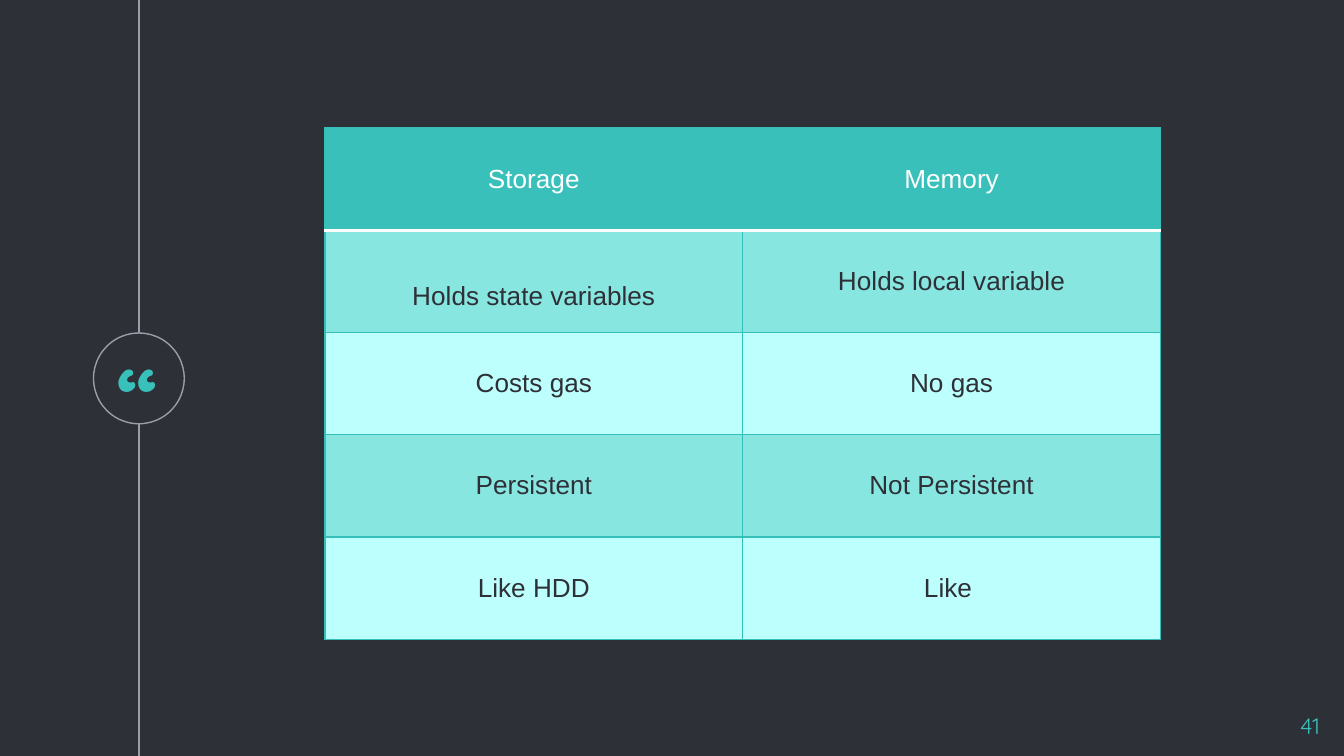
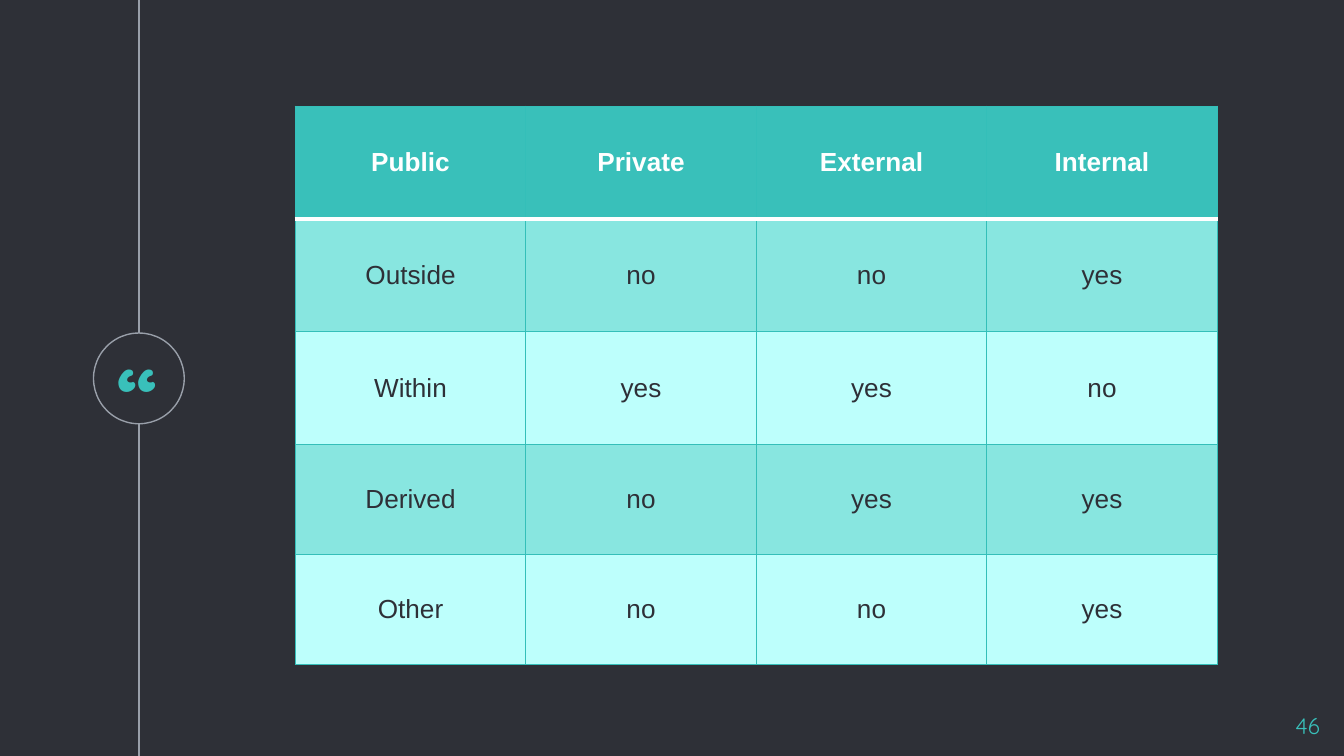
"""Builds two dark slides, each with a quote marker and a comparison table."""
import dataclasses

import lxml.etree
import pptx
import pptx.dml.color
import pptx.enum.shapes
import pptx.enum.text
import pptx.oxml.ns
import pptx.util

Pt = pptx.util.Pt
Align = pptx.enum.text.PP_ALIGN
qn = pptx.oxml.ns.qn


@dataclasses.dataclass(frozen=True)
class Theme:
    background: str = "2E3037"
    accent: str = "39C0BA"
    border: str = "34BFB9"
    rule: str = "999FA9"
    white: str = "FFFFFF"
    band: str = "88E6E0"
    light: str = "BDFFFC"
    display_font: str = "Quicksand"
    table_font: str = "Arial"
    quote_size: float = 48
    number_size: float = 12
    table_size: float = 14
    hairline: float = 0.75
    header_line: float = 2
    inset: float = 7.2


def rgb(code):
    return pptx.dml.color.RGBColor.from_string(code)


class SlideWriter:
    def __init__(self, deck, theme):
        self.deck = deck
        self.theme = theme
        self.page = None

    def new_page(self, number):
        theme = self.theme
        self.page = self.deck.slides.add_slide(self.deck.slide_layouts[6])
        self.page.background.fill.solid()
        self.page.background.fill.fore_color.rgb = rgb(theme.background)
        self.rule(74.4, 0, 74.4, 405)
        self.circle(50.1, 178.4, 48.6)
        self.text("“", (22.6, 176.4, 103, 51), theme.quote_size, Align.CENTER, bold=True)
        self.text(str(number), (671, 374.4, 43.2, 24.5), theme.number_size, Align.RIGHT)

    def rule(self, x1, y1, x2, y2):
        line = self.page.shapes.add_connector(
            pptx.enum.shapes.MSO_CONNECTOR.STRAIGHT, Pt(x1), Pt(y1), Pt(x2), Pt(y2))
        self.outline(line)
        lxml.etree.SubElement(line._element.spPr, qn("a:effectLst"))

    def circle(self, left, top, size):
        shape = self.page.shapes.add_shape(
            pptx.enum.shapes.MSO_SHAPE.OVAL, Pt(left), Pt(top), Pt(size), Pt(size))
        shape.shadow.inherit = False
        shape.fill.solid()
        shape.fill.fore_color.rgb = rgb(self.theme.background)
        self.outline(shape)

    def outline(self, shape):
        shape.line.color.rgb = rgb(self.theme.rule)
        shape.line.width = Pt(self.theme.hairline)

    def text(self, words, place, size, align, bold=False):
        box = self.page.shapes.add_textbox(*map(Pt, place))
        frame = box.text_frame
        frame.word_wrap = True
        frame.margin_left = frame.margin_right = Pt(self.theme.inset)
        frame.margin_top = frame.margin_bottom = Pt(self.theme.inset)
        frame.text = words
        self.style(frame.paragraphs[0], self.theme.display_font, size,
                   self.theme.accent, align, bold)

    def style(self, para, font, size, color, align, bold):
        para.alignment = align
        for span in para.runs:
            span.font.name = font
            span.font.size = Pt(size)
            span.font.bold = bold
            span.font.color.rgb = rgb(color)

    def table(self, left, top, column_width, row_heights, rows, bold_header=False):
        columns = len(rows[0])
        table = self.page.shapes.add_table(
            len(rows), columns, Pt(left), Pt(top),
            Pt(column_width * columns), Pt(sum(row_heights))).table
        table.first_row = table.horz_banding = False
        for column in table.columns:
            column.width = Pt(column_width)
        for index, (height, words) in enumerate(zip(row_heights, rows)):
            table.rows[index].height = Pt(height)
            for column, word in enumerate(words):
                self.cell(table.cell(index, column), word, index, bold_header)
        return table

    def cell(self, cell, words, row, bold_header):
        theme = self.theme
        header = row == 0
        cell.text_frame.text = words
        cell.vertical_anchor = pptx.enum.text.MSO_ANCHOR.MIDDLE
        self.style(cell.text_frame.paragraphs[0], theme.table_font, theme.table_size,
                   theme.white if header else theme.background,
                   Align.CENTER, header and bold_header)
        thin = (theme.border, theme.hairline)
        thick = (theme.white, theme.header_line)
        self.border(cell, "lnL", *thin)
        self.border(cell, "lnR", *thin)
        self.border(cell, "lnT", *(thick if row == 1 else thin))
        self.border(cell, "lnB", *(thick if header else thin))
        cell.fill.solid()
        body = theme.band if row % 2 else theme.light
        cell.fill.fore_color.rgb = rgb(theme.accent if header else body)

    def border(self, cell, side, color, width):
        properties = cell._tc.get_or_add_tcPr()
        line = lxml.etree.SubElement(properties, qn("a:" + side), w=str(Pt(width)))
        fill = lxml.etree.SubElement(line, qn("a:solidFill"))
        lxml.etree.SubElement(fill, qn("a:srgbClr"), val=color)


def main():
    deck = pptx.Presentation()
    deck.slide_width, deck.slide_height = Pt(720), Pt(405)
    writer = SlideWriter(deck, Theme())

    writer.new_page(41)
    locations = writer.table(174.1, 68.5, 223.8, [54.8] * 5, [
        ("Storage", "Memory"),
        ("Holds state variables", "Holds local variable"),
        ("Costs gas", "No gas"),
        ("Persistent", "Not Persistent"),
        ("Like HDD", "Like "),
    ])
    locations.cell(1, 0).margin_top = Pt(19.6)

    writer.new_page(46)
    writer.table(158.2, 56.9, 123.5, [60.4] * 3 + [59.1] * 2, [
        ("Public", "Private", "External", "Internal"),
        ("Outside", "no", "no", "yes"),
        ("Within", "yes", "yes", "no"),
        ("Derived", "no", "yes", "yes"),
        ("Other", "no", "no", "yes"),
    ], bold_header=True)

    deck.save("out.pptx")


if __name__ == "__main__":
    main()
